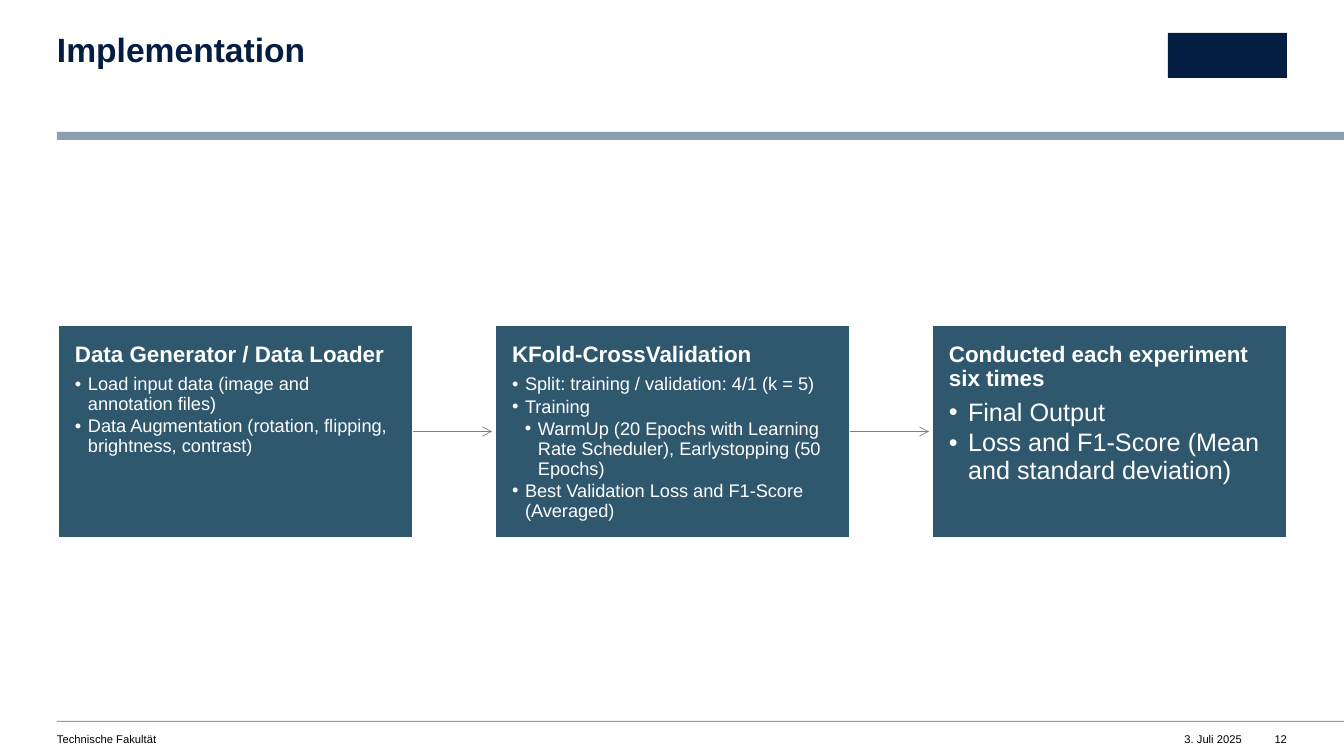
from lxml.etree import SubElement
from pptx import Presentation
from pptx.dml.color import RGBColor
from pptx.enum.shapes import MSO_CONNECTOR as CONNECTOR, MSO_SHAPE as SHAPE
from pptx.enum.text import MSO_ANCHOR as ANCHOR, MSO_AUTO_SIZE as AUTO_SIZE, PP_ALIGN as ALIGN
from pptx.oxml.ns import qn
from pptx.util import Pt

PX = 9071  # EMU per px
NAVY, STEEL, TEAL = "041E42", "8C9FB1", "2F586E"
GREY, WHITE, BLACK = "7F7F7F", "FFFFFF", "000000"
rgb = RGBColor.from_string


def add_rect(left, top, width, height, fill):
    rect = page.shapes.add_shape(SHAPE.RECTANGLE, left * PX, top * PX, width * PX, height * PX)
    rect.shadow.inherit = False
    rect.fill.solid()
    rect.fill.fore_color.rgb = rgb(fill)
    rect.line.fill.background()
    return rect


def add_text(frame, text, size, color, bold=False, align=ALIGN.LEFT,
             margins=(0, 0), spacing=1.0, after=0, level=0, indent=0):
    """Fill the first paragraph of the frame, or append one; an indent (px) adds a bullet."""
    frame.word_wrap = True
    frame.auto_size = AUTO_SIZE.NONE
    frame.vertical_anchor = ANCHOR.TOP
    frame.margin_left = frame.margin_right = margins[0] * PX
    frame.margin_top = frame.margin_bottom = margins[1] * PX
    para = frame.add_paragraph() if frame.text else frame.paragraphs[0]
    para.alignment = align
    para.level = level
    para.line_spacing = spacing
    para.space_before = Pt(0)
    para.space_after = Pt(after)
    if indent:
        props = para._p.get_or_add_pPr()
        props.set("marL", str(level * indent * PX))
        props.set("indent", str(-indent * PX))
        SubElement(props, qn("a:buFont"), typeface="Arial")
        SubElement(props, qn("a:buChar"), char="•")
    span = para.add_run()
    span.text = text
    span.font.name = "Arial"
    span.font.size = Pt(size)
    span.font.bold = bold
    span.font.color.rgb = rgb(color)


deck = Presentation()
deck.slide_width, deck.slide_height = 1344 * PX, 756 * PX
page = deck.slides.add_slide(deck.slide_layouts[5])

# Header and footer
add_rect(57, 132, 1287, 8, STEEL)
add_rect(57, 721, 1287, 1, STEEL)
add_rect(1168, 33, 119, 45, NAVY)

title = page.shapes.title
title.left, title.top, title.width, title.height = 57 * PX, 33 * PX, 755 * PX, 36 * PX
add_text(title.text_frame, "Implementation", 24, NAVY, bold=True, spacing=0.9)

FOOTER = [
    ("Technische Fakultät", 57, 603, ALIGN.LEFT),
    ("3. Juli 2025", 1148, 94, ALIGN.RIGHT),
    ("12", 1266, 21, ALIGN.RIGHT),
]
for text, left, width, align in FOOTER:
    box = page.shapes.add_textbox(left * PX, 732 * PX, width * PX, 13 * PX)
    add_text(box.text_frame, text, 8, BLACK, align=align)

# Process steps: heading, bullet size, bullet indent, bullets with their level
STEPS = [
    ("Data Generator / Data Loader", 13, 13, [
        (1, "Load input data (image and annotation files)"),
        (1, "Data Augmentation (rotation, flipping, brightness, contrast)"),
    ]),
    ("KFold-CrossValidation", 13, 13, [
        (1, "Split: training / validation: 4/1 (k = 5)"),
        (1, "Training"),
        (2, "WarmUp (20 Epochs with Learning Rate Scheduler), Earlystopping (50 Epochs)"),
        (1, "Best Validation Loss and F1-Score (Averaged)"),
    ]),
    ("Conducted each experiment six times", 18, 19, [
        (1, "Final Output"),
        (1, "Loss and F1-Score (Mean and standard deviation)"),
    ]),
]
STEP_LEFT, STEP_TOP, STEP_WIDTH, STEP_HEIGHT, STEP_PITCH = 58, 325, 355, 213, 437
ARROW_LENGTH = 79

for index, (heading, size, indent, bullets) in enumerate(STEPS):
    left = STEP_LEFT + index * STEP_PITCH
    step = add_rect(left, STEP_TOP, STEP_WIDTH, STEP_HEIGHT, TEAL)
    step.line.color.rgb = rgb(WHITE)
    step.line.width = Pt(1)
    add_text(step.text_frame, heading, 16, WHITE, bold=True,
             margins=(17, 18), spacing=0.9, after=5.6)
    for level, text in bullets:
        add_text(step.text_frame, text, size, WHITE, margins=(17, 18), spacing=0.9,
                 after=0.15 * size, level=level, indent=indent)

    if index < len(STEPS) - 1:
        right, middle = left + STEP_WIDTH, STEP_TOP + STEP_HEIGHT // 2
        arrow = page.shapes.add_connector(CONNECTOR.STRAIGHT, right * PX, middle * PX,
                                          (right + ARROW_LENGTH) * PX, step.top + step.height // 2)
        arrow.begin_connect(step, 3)
        arrow.line.color.rgb = rgb(GREY)
        arrow.line.width = Pt(0.5)
        SubElement(arrow.line._get_or_add_ln(), qn("a:tailEnd"), type="arrow")
        SubElement(arrow._element.spPr, qn("a:effectLst"))

deck.save("out.pptx")
